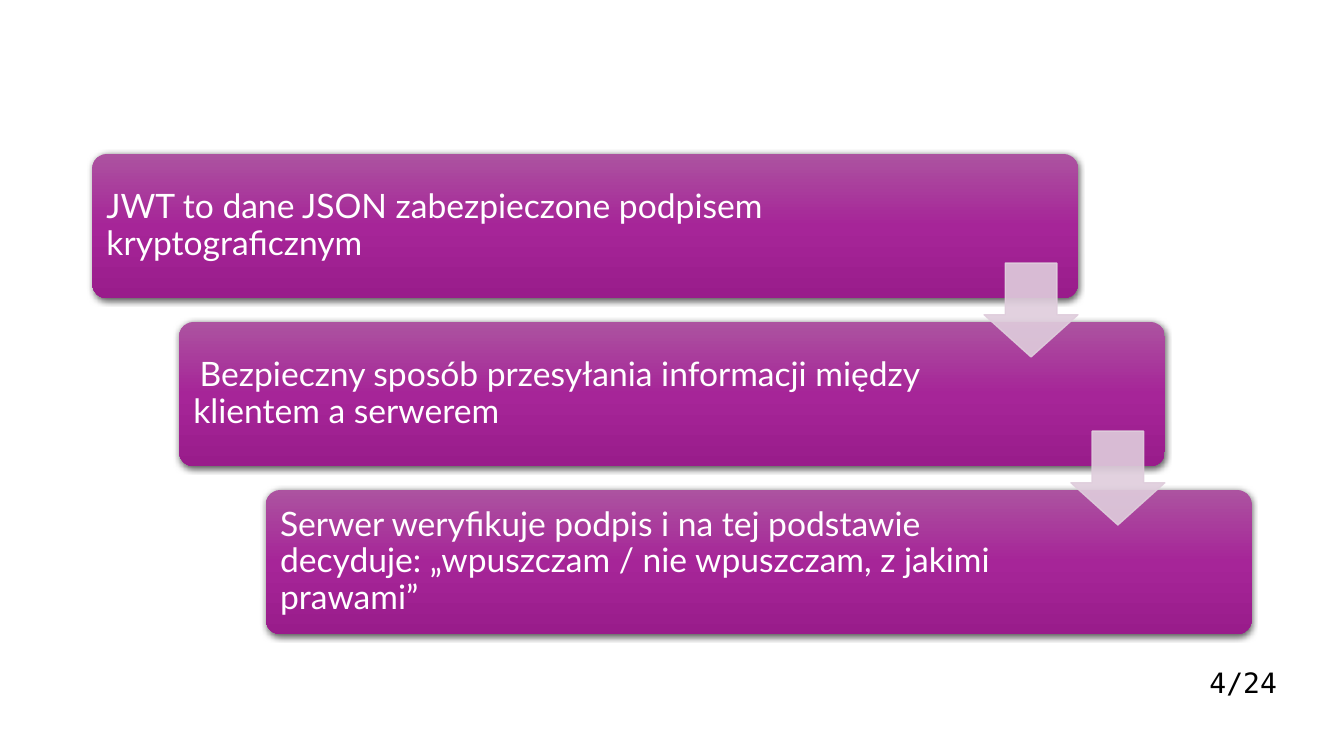
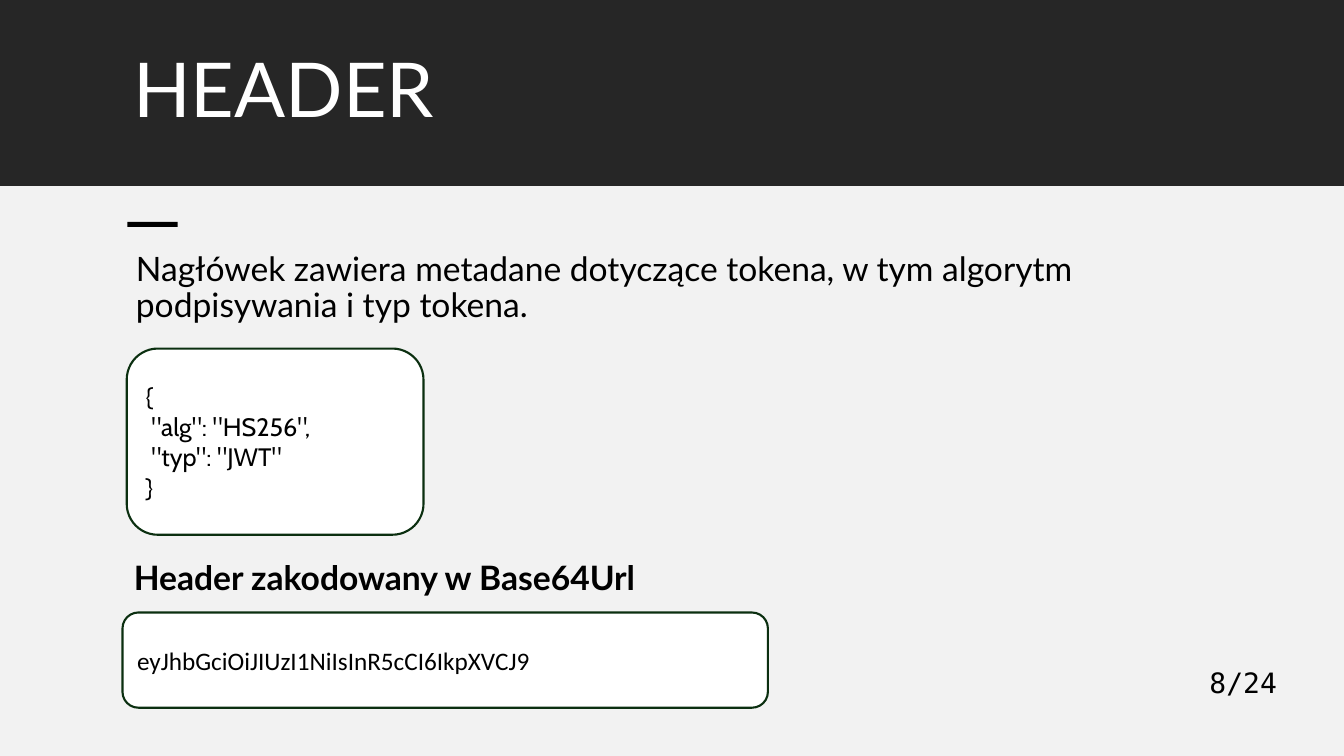
from lxml.etree import SubElement
from pptx import Presentation
from pptx.dml.color import RGBColor
from pptx.enum.shapes import MSO_SHAPE
from pptx.enum.text import MSO_ANCHOR, PP_ALIGN
from pptx.oxml import parse_xml
from pptx.oxml.ns import nsdecls, qn
from pptx.util import Pt

COLORS = {
    "white": "FFFFFF", "black": "000000", "band": "262626", "paper": "F2F2F2",
    "outline": "0B2F10", "arrow": "DFCDDC",
    "purple_top": "AC53A0", "purple_middle": "A62598", "purple_bottom": "991C8B",
}
BODY_FONT = "Lato"
PAGE_FONT = "DejaVu Sans Mono"
PAGE_COUNT = 24
SLIDE_WIDTH, SLIDE_HEIGHT = 960, 540
BAND_HEIGHT = 133

STEPS = [  # text, right inset, first-line indent
    ("JWT to dane JSON zabezpieczone podpisem kryptograficznym", 113, 0),
    ("Bezpieczny sposób przesyłania informacji między klientem a serwerem", 137, 4.6),
    ("Serwer weryfikuje podpis i na tej podstawie decyduje: "
     "„wpuszczam / nie wpuszczam, z jakimi prawami”", 137, 0),
]
HEADER_CODE = ["{", '\u2003"alg": "HS256",'.replace("\u2003", " "),
               '\u2003"typ": "JWT"'.replace("\u2003", " "), "}"]
HEADER_CODE = ["{", ' "alg": "HS256",', ' "typ": "JWT"', "}"]


def color(name):
    return RGBColor.from_string(COLORS[name])


def write(shape, lines, size, font=BODY_FONT, ink="black", bold=False,
          spacing=1.0, align=PP_ALIGN.LEFT, anchor=MSO_ANCHOR.TOP):
    """Fill a shape or text box with one paragraph per line."""
    frame = shape.text_frame
    frame.word_wrap = True
    frame.vertical_anchor = anchor
    for index, line in enumerate(lines):
        paragraph = frame.add_paragraph() if index else frame.paragraphs[0]
        paragraph.alignment = align
        paragraph.line_spacing = spacing
        run = paragraph.add_run()
        run.text = line
        run.font.name = font
        run.font.size = Pt(size)
        run.font.bold = bold
        run.font.color.rgb = color(ink)


def add_text(slide, left, top, width, height, text, size, **style):
    box = slide.shapes.add_textbox(Pt(left), Pt(top), Pt(width), Pt(height))
    write(box, [text], size, **style)


def add_shape(slide, kind, left, top, width, height, fill, line=None, line_width=1.5):
    shape = slide.shapes.add_shape(kind, Pt(left), Pt(top), Pt(width), Pt(height))
    shape.shadow.inherit = False
    shape.fill.solid()
    shape.fill.fore_color.rgb = color(fill)
    if line:
        shape.line.color.rgb = color(line)
        shape.line.width = Pt(line_width)
    else:
        shape.line.fill.background()
    return shape


def add_page_number(slide, number):
    add_text(slide, 849, 471.5, 78, 54, f"{number}/{PAGE_COUNT}", 20,
             font=PAGE_FONT, align=PP_ALIGN.CENTER)


def add_title_band(slide, title):
    add_shape(slide, MSO_SHAPE.RECTANGLE, 0, 0, SLIDE_WIDTH, BAND_HEIGHT, "band")
    add_text(slide, 88, 33, 773, 67, title, 54, ink="white", spacing=0.9,
             anchor=MSO_ANCHOR.MIDDLE)
    add_shape(slide, MSO_SHAPE.RECTANGLE, 0, BAND_HEIGHT, SLIDE_WIDTH,
              SLIDE_HEIGHT - BAND_HEIGHT, "paper")
    add_shape(slide, MSO_SHAPE.RECTANGLE, 91, 158.5, 36, 3.5, "black")


def apply_purple_gradient(shape):
    stops = "".join(
        f'<a:gs pos="{position}"><a:srgbClr val="{COLORS[name]}"/></a:gs>'
        for position, name in ((0, "purple_top"), (50000, "purple_middle"),
                               (100000, "purple_bottom")))
    gradient = parse_xml(f'<a:gradFill {nsdecls("a")} rotWithShape="1"><a:gsLst>{stops}'
                         '</a:gsLst><a:lin ang="5400000" scaled="0"/></a:gradFill>')
    properties = shape.element.spPr
    properties.replace(properties.find(qn("a:solidFill")), gradient)


def apply_soft_shadow(shape):
    effects = shape.element.spPr.find(qn("a:effectLst"))
    effects.append(parse_xml(
        f'<a:outerShdw {nsdecls("a")} blurRad="{Pt(4.5)}" dist="{Pt(1.5)}" dir="5400000" '
        f'algn="ctr" rotWithShape="0"><a:srgbClr val="{COLORS["black"]}">'
        '<a:alpha val="63000"/></a:srgbClr></a:outerShdw>'))


def add_step(slide, left, top, text, right_inset, indent):
    box = add_shape(slide, MSO_SHAPE.ROUNDED_RECTANGLE, left, top, 704, 103, "purple_middle")
    box.adjustments[0] = 0.1
    apply_purple_gradient(box)
    apply_soft_shadow(box)
    write(box, [text], 24, ink="white", spacing=0.9, anchor=MSO_ANCHOR.MIDDLE)
    box.text_frame.margin_right = Pt(right_inset)
    if indent:
        properties = box.text_frame.paragraphs[0]._p.get_or_add_pPr()
        properties.set("indent", str(Pt(indent)))


def add_step_arrow(slide, left, top):
    arrow = add_shape(slide, MSO_SHAPE.DOWN_ARROW, left, top, 67, 67, "arrow", "arrow", 1)
    arrow.adjustments[0] = 0.45
    arrow.adjustments[1] = 0.55
    arrow.adjustments[0], arrow.adjustments[1] = 0.55, 0.45
    for tint in arrow.element.spPr.iter(qn("a:srgbClr")):
        SubElement(tint, qn("a:alpha")).set("val", "90000")


def add_code_box(slide, left, top, width, height, lines, font):
    box = add_shape(slide, MSO_SHAPE.ROUNDED_RECTANGLE, left, top, width, height,
                    "white", "outline")
    write(box, lines, 18, font=font, anchor=MSO_ANCHOR.MIDDLE)


def build_steps_slide(slide):
    places = [(66 + 62 * index, 110 + 120 * index) for index in range(len(STEPS))]
    for (left, top), step in zip(places, STEPS):
        add_step(slide, left, top, *step)
    # Arrows sit over the lower right corner of each step but the last
    for left, top in places[:-1]:
        add_step_arrow(slide, left + 637, top + 78)
    add_page_number(slide, 4)


def build_header_slide(slide):
    add_title_band(slide, "HEADER")
    add_text(slide, 90, 176.5, 805, 58,
             "Nagłówek zawiera metadane dotyczące tokena, w tym algorytm "
             "podpisywania i typ tokena.", 24, spacing=0.9)
    # Plain and encoded header
    add_code_box(slide, 90.5, 249, 212, 133, HEADER_CODE, "Cabin")
    add_text(slide, 88.5, 394.5, 480, 44, "Header zakodowany w Base64Url", 24, bold=True)
    add_code_box(slide, 87.5, 437.5, 461, 68,
                 ["eyJhbGciOiJIUzI1NiIsInR5cCI6IkpXVCJ9"], "Calibri")
    add_page_number(slide, 8)


def main():
    presentation = Presentation()
    presentation.slide_width = Pt(SLIDE_WIDTH)
    presentation.slide_height = Pt(SLIDE_HEIGHT)
    for build in (build_steps_slide, build_header_slide):
        build(presentation.slides.add_slide(presentation.slide_layouts[6]))
    presentation.save("out.pptx")


if __name__ == "__main__":
    main()
